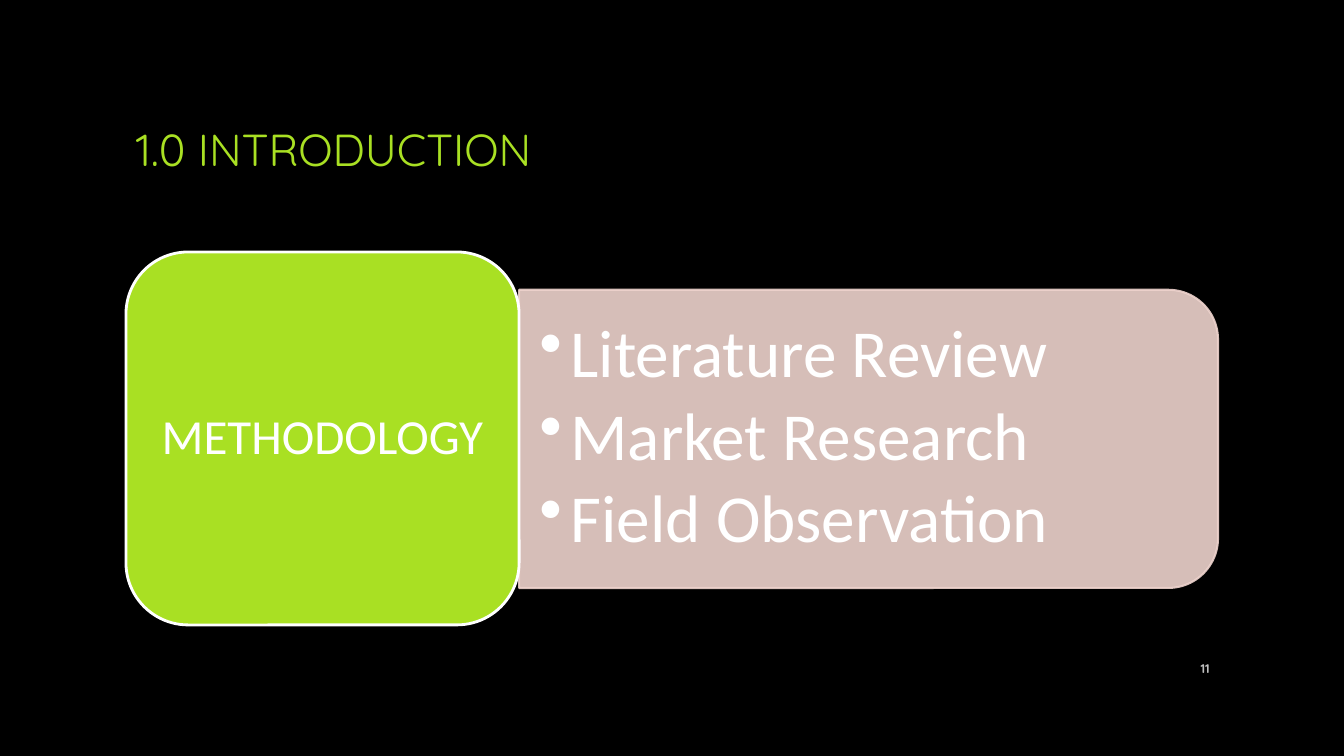
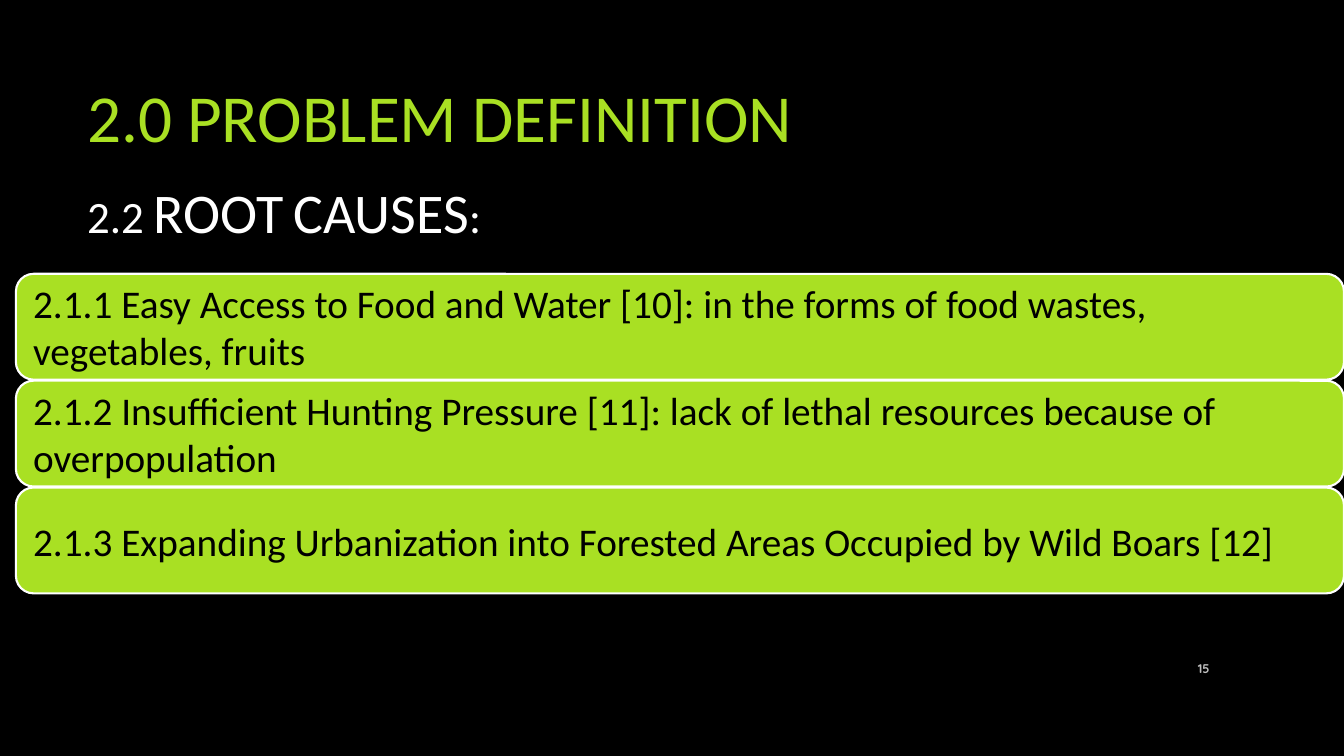
from dataclasses import dataclass

from lxml.etree import SubElement
from pptx import Presentation
from pptx.dml.color import RGBColor
from pptx.enum.shapes import MSO_SHAPE
from pptx.enum.text import MSO_ANCHOR, PP_ALIGN
from pptx.oxml.ns import qn
from pptx.shapes.autoshape import Shape
from pptx.slide import Slide
from pptx.util import Emu, Inches, Pt

SLIDE_WIDTH, SLIDE_HEIGHT = Inches(13.33), Inches(7.5)
COLUMNS, ROWS = 160, 90

BLACK = RGBColor(0x00, 0x00, 0x00)
WHITE = RGBColor(0xFF, 0xFF, 0xFF)
LIME = RGBColor(0xA9, 0xE0, 0x23)
BLUSH = RGBColor(0xEE, 0xD3, 0xCD)
GREY = RGBColor(0xBF, 0xBF, 0xBF)

BODY_FONT = "Calibri"
DISPLAY_FONT = "Quicksand"

METHODS = ["Literature Review", "Market Research", "Field Observation"]
ROOT_CAUSES = [
    "2.1.1 Easy Access to Food and Water [10]: in the forms of food wastes, vegetables, fruits",
    "2.1.2 Insufficient Hunting Pressure [11]: lack of lethal resources because of overpopulation",
    "2.1.3 Expanding Urbanization into Forested Areas Occupied by Wild Boars [12]",
]


@dataclass(frozen=True)
class Box:
    """A rectangle in columns and rows of the slide grid."""

    column: float
    row: float
    columns: float
    rows: float

    def lengths(self) -> tuple[Emu, Emu, Emu, Emu]:
        return (
            Emu(round(SLIDE_WIDTH * self.column / COLUMNS)),
            Emu(round(SLIDE_HEIGHT * self.row / ROWS)),
            Emu(round(SLIDE_WIDTH * self.columns / COLUMNS)),
            Emu(round(SLIDE_HEIGHT * self.rows / ROWS)),
        )


@dataclass(frozen=True)
class TextStyle:
    size: float
    color: RGBColor
    font: str = BODY_FONT
    bold: bool = False
    align: PP_ALIGN = PP_ALIGN.LEFT
    anchor: MSO_ANCHOR = MSO_ANCHOR.MIDDLE
    inset_x: float = 0.1
    inset_y: float = 0.05
    line_spacing: float = 1.0
    space_after: float = 0
    bulleted: bool = False


NUMBER_BOX = Box(138, 77.2, 7.2, 4.8)
NUMBER_STYLE = TextStyle(9, GREY, DISPLAY_FONT, bold=True, align=PP_ALIGN.RIGHT)
INTRODUCTION_STYLE = TextStyle(32, LIME, DISPLAY_FONT)
PROBLEM_STYLE = TextStyle(48, LIME)
SUBTITLE_STYLE = TextStyle(40, WHITE, anchor=MSO_ANCHOR.TOP)
LABEL_STYLE = TextStyle(35, WHITE, align=PP_ALIGN.CENTER, inset_x=0.15,
                        inset_y=0.07, line_spacing=0.9)
METHOD_STYLE = TextStyle(48, WHITE, inset_x=0.2, inset_y=0.1, line_spacing=0.9,
                         space_after=7.2, bulleted=True)
CAUSE_STYLE = TextStyle(28, BLACK, inset_x=0.12, inset_y=0.12)

FIRST_CAUSE = Box(1.9, 32.6, 158.1, 12.6)
CAUSE_PITCH = 12.72


def write(shape: Shape, lines: list[str], style: TextStyle) -> None:
    frame = shape.text_frame
    frame.word_wrap = True
    frame.vertical_anchor = style.anchor
    frame.margin_left = frame.margin_right = Inches(style.inset_x)
    frame.margin_top = frame.margin_bottom = Inches(style.inset_y)
    frame.text = "\n".join(lines)
    for paragraph in frame.paragraphs:
        paragraph.alignment = style.align
        paragraph.line_spacing = style.line_spacing
        paragraph.space_after = Pt(style.space_after)
        if style.bulleted:
            properties = paragraph._p.get_or_add_pPr()
            indent = Inches(0.31)
            properties.set("marL", str(indent))
            properties.set("indent", str(-indent))
            SubElement(properties, qn("a:buChar"), char="•")
        paragraph.font.name = style.font
        paragraph.font.size = Pt(style.size)
        paragraph.font.bold = style.bold
        paragraph.font.color.rgb = style.color


def add_text(slide: Slide, box: Box, lines: list[str], style: TextStyle) -> Shape:
    text_box = slide.shapes.add_textbox(*box.lengths())
    write(text_box, lines, style)
    return text_box


def add_panel(slide: Slide, preset: MSO_SHAPE, box: Box, fill: RGBColor,
              line: RGBColor, line_width: float) -> Shape:
    panel = slide.shapes.add_shape(preset, *box.lengths())
    panel.shadow.inherit = False
    panel.fill.solid()
    panel.fill.fore_color.rgb = fill
    panel.line.color.rgb = line
    panel.line.width = Pt(line_width)
    return panel


def turn_upright(shape: Shape) -> None:
    """Turn the shape a quarter clockwise while it covers the same area."""
    center_x = shape.left + shape.width // 2
    center_y = shape.top + shape.height // 2
    shape.width, shape.height = shape.height, shape.width
    shape.left = center_x - shape.width // 2
    shape.top = center_y - shape.height // 2
    shape.rotation = 90


def make_translucent(shape: Shape, opacity: int) -> None:
    """Apply an opacity in percent to fill and line."""
    for color in shape._element.spPr.iter(qn("a:srgbClr")):
        SubElement(color, qn("a:alpha"), val=str(opacity * 1000))


def add_base_slide(presentation: Presentation, title: str, title_box: Box,
                   title_style: TextStyle, number: int) -> Slide:
    slide = presentation.slides.add_slide(presentation.slide_layouts[6])
    slide.background.fill.solid()
    slide.background.fill.fore_color.rgb = BLACK
    add_text(slide, title_box, [title], title_style)
    add_text(slide, NUMBER_BOX, [str(number)], NUMBER_STYLE)
    return slide


def add_methodology_slide(presentation: Presentation) -> None:
    slide = add_base_slide(presentation, "1.0 INTRODUCTION",
                           Box(15, 8, 130, 19.3), INTRODUCTION_STYLE, 11)
    band = add_panel(slide, MSO_SHAPE.ROUND_2_SAME_RECTANGLE,
                     Box(61.8, 34.5, 83.2, 35.5), BLUSH, BLUSH, 1.5)
    turn_upright(band)
    make_translucent(band, 90)
    add_text(slide, Box(61.8, 36.2, 81.5, 32), METHODS, METHOD_STYLE)
    label = add_panel(slide, MSO_SHAPE.ROUNDED_RECTANGLE,
                      Box(15, 30, 46.8, 44.4), LIME, WHITE, 2)
    write(label, ["METHODOLOGY"], LABEL_STYLE)


def add_root_causes_slide(presentation: Presentation) -> None:
    slide = add_base_slide(presentation, "2.0 PROBLEM DEFINITION",
                           Box(9.2, 5.4, 130, 16.7), PROBLEM_STYLE, 15)
    subtitle = add_text(slide, Box(9.2, 20.6, 137.8, 15.4),
                        ["2.2 ROOT CAUSES:"], SUBTITLE_STYLE)
    for run in subtitle.text_frame.paragraphs[0].runs:
        run._r.get_or_add_rPr().set("cap", "small")
    for index, cause in enumerate(ROOT_CAUSES):
        box = Box(FIRST_CAUSE.column, FIRST_CAUSE.row + index * CAUSE_PITCH,
                  FIRST_CAUSE.columns, FIRST_CAUSE.rows)
        bar = add_panel(slide, MSO_SHAPE.ROUNDED_RECTANGLE, box, LIME, WHITE, 1.5)
        write(bar, [cause], CAUSE_STYLE)


def main() -> None:
    presentation = Presentation()
    presentation.slide_width = SLIDE_WIDTH
    presentation.slide_height = SLIDE_HEIGHT
    add_methodology_slide(presentation)
    add_root_causes_slide(presentation)
    presentation.save("out.pptx")


if __name__ == "__main__":
    main()
